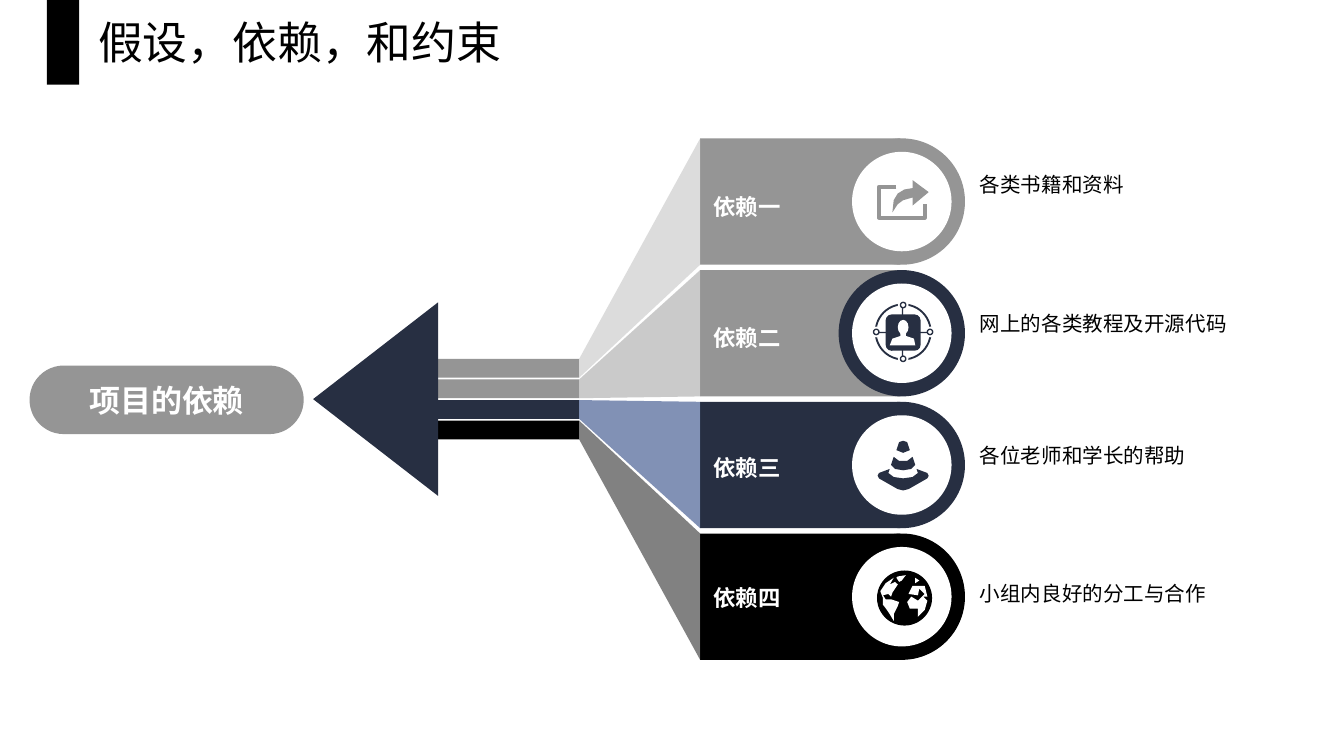
from lxml import etree
from pptx import Presentation
from pptx.dml.color import RGBColor
from pptx.enum.shapes import MSO_SHAPE
from pptx.enum.text import MSO_ANCHOR, MSO_AUTO_SIZE, PP_ALIGN
from pptx.oxml.ns import qn
from pptx.util import Inches, Pt

RECT, OVAL, ROUND = MSO_SHAPE.RECTANGLE, MSO_SHAPE.OVAL, MSO_SHAPE.ROUNDED_RECTANGLE
TOP, MIDDLE = MSO_ANCHOR.TOP, MSO_ANCHOR.MIDDLE
LEFT, CENTER, JUSTIFY = PP_ALIGN.LEFT, PP_ALIGN.CENTER, PP_ALIGN.JUSTIFY
FIXED = MSO_AUTO_SIZE.NONE

FONT = "Noto Sans CJK SC"
BLACK = RGBColor(0, 0, 0)
WHITE = RGBColor(255, 255, 255)
GRAY = RGBColor(0x95, 0x95, 0x95)
NAVY = RGBColor(0x27, 0x2F, 0x42)
PALE = RGBColor(0xD5, 0xD5, 0xD5)
SILVER = RGBColor(0xBF, 0xBF, 0xBF)
BLUE = RGBColor(0x66, 0x79, 0xA5)
DARK = RGBColor(0x66, 0x66, 0x66)

ROWS = [
    ("依赖一", "各类书籍和资料", 1.24, GRAY, GRAY, PALE),
    ("依赖二", "网上的各类教程及开源代码", 2.28, GRAY, NAVY, SILVER),
    ("依赖三", "各位老师和学长的帮助", 3.26, NAVY, NAVY, BLUE),
    ("依赖四", "小组内良好的分工与合作", 4.29, BLACK, BLACK, DARK),
]


def paint(shape, fill=None, line=None, width=2, alpha=None):
    """Set the fill, outline and opacity of a shape."""
    shape.shadow.inherit = False
    if fill is None:
        shape.fill.background()
    else:
        shape.fill.solid()
        shape.fill.fore_color.rgb = fill
    if line is None:
        shape.line.fill.background()
    else:
        shape.line.color.rgb = line
        shape.line.width = Pt(width)
    if alpha:
        color = shape.fill._xPr.find(qn("a:solidFill"))[0]
        etree.SubElement(color, qn("a:alpha")).set("val", str(alpha * 1000))
    return shape


def block(slide, kind, x, y, w, h, fill=None, **style):
    """Add a preset shape."""
    box = [Inches(v) for v in (x, y, w, h)]
    return paint(slide.shapes.add_shape(kind, *box), fill, **style)


def disc(slide, x, y, size, fill=None, **style):
    """Add a circle around a centre point."""
    return block(slide, OVAL, x - size / 2, y - size / 2, size, size, fill, **style)


def outline(slide, *loops, fill=None, close=True, **style):
    """Add a freeform made of one or more loops of points."""
    loops = [[(Inches(x), Inches(y)) for x, y in loop] for loop in loops]
    pen = slide.shapes.build_freeform(*loops[0][0])
    pen.add_line_segments(loops[0][1:], close=close)
    for loop in loops[1:]:
        pen.move_to(*loop[0])
        pen.add_line_segments(loop[1:], close=close)
    return paint(pen.convert_to_shape(), fill, **style)


def write(shape, text, size=11, color=BLACK, bold=False, align=LEFT,
          anchor=TOP, inset=0, wrap=True, space=None):
    """Write formatted text into a shape."""
    frame = shape.text_frame
    frame.auto_size = FIXED
    frame.word_wrap = wrap
    frame.vertical_anchor = anchor
    frame.margin_left = frame.margin_right = Inches(inset)
    frame.margin_top = frame.margin_bottom = Inches(inset / 2)
    para = frame.paragraphs[0]
    para.alignment = align
    para.line_spacing = space
    run = para.add_run()
    run.text = text
    font = run.font
    font.size, font.bold, font.name = Pt(size), bold, FONT
    font.color.rgb = color
    etree.SubElement(font._element, qn("a:ea")).set("typeface", FONT)


def label(slide, x, y, w, h, text, **style):
    """Add a text box."""
    box = [Inches(v) for v in (x, y, w, h)]
    write(slide.shapes.add_textbox(*box), text, **style)


def band(slide, row, fill, ring, tint):
    """Add one band with its bar, fan and round end."""
    top, bar = 1.03 + 0.98 * row, 2.67 + 0.46 * row / 3
    block(slide, RECT, 5.21, top, 1.49, 0.94, fill)
    block(slide, RECT, 3.17, bar, 1.14, 0.14, fill)
    outline(slide, [(4.31, bar), (5.21, top), (5.21, top + 0.94), (4.31, bar + 0.14)],
            fill=tint, alpha=82)
    disc(slide, 6.71, top + 0.47, 0.94, ring)
    disc(slide, 6.71, top + 0.47, 0.74, WHITE)


def share(slide):
    """Draw the share icon."""
    outline(slide, [(6.67, 1.39), (6.54, 1.39), (6.54, 1.62), (6.88, 1.62), (6.88, 1.52)],
            close=False, line=GRAY)
    outline(slide, [(6.79, 1.34), (6.91, 1.43), (6.79, 1.53), (6.79, 1.47), (6.72, 1.49),
                    (6.68, 1.52), (6.64, 1.58), (6.65, 1.49), (6.68, 1.44), (6.73, 1.41),
                    (6.79, 1.4)], fill=GRAY)


def network(slide):
    """Draw the network user icon."""
    x, y = 6.72, 2.47
    disc(slide, x, y, 0.41, line=NAVY, width=1)
    for dx, dy in ((0, -1), (1, 0), (0, 1), (-1, 0)):
        disc(slide, x + 0.2 * dx, y + 0.2 * dy, 0.08, WHITE)
        disc(slide, x + 0.2 * dx, y + 0.2 * dy, 0.04, WHITE, line=NAVY, width=0.75)
    block(slide, RECT, x - 0.01, y - 0.18, 0.01, 0.36, NAVY)
    block(slide, RECT, x - 0.18, y, 0.36, 0.01, NAVY)
    block(slide, ROUND, x - 0.13, y - 0.13, 0.26, 0.27, NAVY)
    block(slide, OVAL, x - 0.04, y - 0.09, 0.08, 0.11, WHITE)
    outline(slide, [(6.7, 2.47), (6.74, 2.47), (6.74, 2.5), (6.8, 2.52), (6.81, 2.57),
                    (6.62, 2.57), (6.64, 2.52), (6.7, 2.5)], fill=WHITE)


def cone(slide):
    """Draw the traffic cone icon."""
    outline(slide,
            [(6.69, 3.29), (6.72, 3.28), (6.75, 3.29), (6.77, 3.35), (6.72, 3.37), (6.67, 3.35)],
            [(6.65, 3.4), (6.69, 3.43), (6.75, 3.43), (6.79, 3.4), (6.81, 3.46),
             (6.78, 3.49), (6.72, 3.5), (6.66, 3.49), (6.63, 3.46)],
            [(6.62, 3.49), (6.61, 3.52), (6.65, 3.55), (6.72, 3.56), (6.79, 3.55),
             (6.83, 3.52), (6.82, 3.49), (6.9, 3.52), (6.91, 3.54), (6.9, 3.56),
             (6.76, 3.64), (6.72, 3.65), (6.68, 3.64), (6.54, 3.56), (6.53, 3.54), (6.54, 3.52)],
            fill=NAVY)


def globe(slide):
    """Draw the globe icon."""
    disc(slide, 6.73, 4.45, 0.41, BLACK)
    outline(slide,
            [(6.55, 4.4), (6.59, 4.34), (6.65, 4.3), (6.62, 4.35), (6.66, 4.33), (6.68, 4.35),
             (6.64, 4.41), (6.63, 4.44), (6.61, 4.42), (6.57, 4.43), (6.59, 4.46), (6.63, 4.46),
             (6.69, 4.48), (6.68, 4.51), (6.65, 4.57), (6.65, 4.62), (6.62, 4.57),
             (6.6, 4.54), (6.57, 4.5), (6.57, 4.45)],
            [(6.68, 4.29), (6.74, 4.28), (6.71, 4.32), (6.69, 4.33), (6.67, 4.3)],
            [(6.81, 4.3), (6.84, 4.32), (6.81, 4.34)],
            [(6.88, 4.36), (6.9, 4.44), (6.87, 4.44), (6.9, 4.47), (6.88, 4.54), (6.83, 4.59),
             (6.83, 4.53), (6.77, 4.53), (6.75, 4.48), (6.78, 4.44), (6.83, 4.47),
             (6.88, 4.42), (6.84, 4.38), (6.83, 4.43), (6.76, 4.42), (6.79, 4.36)],
            fill=WHITE)


def head(slide):
    """Place the slide title and its marker."""
    title = slide.shapes.title
    title.left, title.top = Inches(0.63), Inches(0.06)
    title.width, title.height = Inches(3.25), Inches(0.5)
    write(title, "假设，依赖，和约束", size=24, align=JUSTIFY, inset=0.1)
    block(slide, RECT, 0.35, 0, 0.24, 0.63, BLACK)


def main():
    """Build and save the slide."""
    deck = Presentation()
    deck.slide_width = Inches(10)
    deck.slide_height = deck.slide_width * 9 // 16
    slide = deck.slides.add_slide(deck.slide_layouts[5])
    head(slide)
    for row, (name, note, top, fill, ring, tint) in reversed(list(enumerate(ROWS))):
        band(slide, row, fill, ring, tint)
        label(slide, 5.31, 1.31 + 0.97 * row, 1.2, 0.46, name,
              size=12, color=WHITE, bold=True, anchor=MIDDLE)
        label(slide, 7.29, top, 2.12, 0.43, note, space=1.2)
    for icon in (share, network, cone, globe):
        icon(slide)
    outline(slide, [(2.33, 2.97), (3.26, 2.25), (3.26, 3.69)], fill=NAVY)
    pill = block(slide, ROUND, 0.22, 2.72, 2.04, 0.51, GRAY)
    pill.adjustments[0] = 0.5
    write(pill, "项目的依赖", size=16.6, color=WHITE, bold=True, align=CENTER,
          anchor=MIDDLE, inset=0.1, wrap=False)
    deck.save("out.pptx")


if __name__ == "__main__":
    main()
